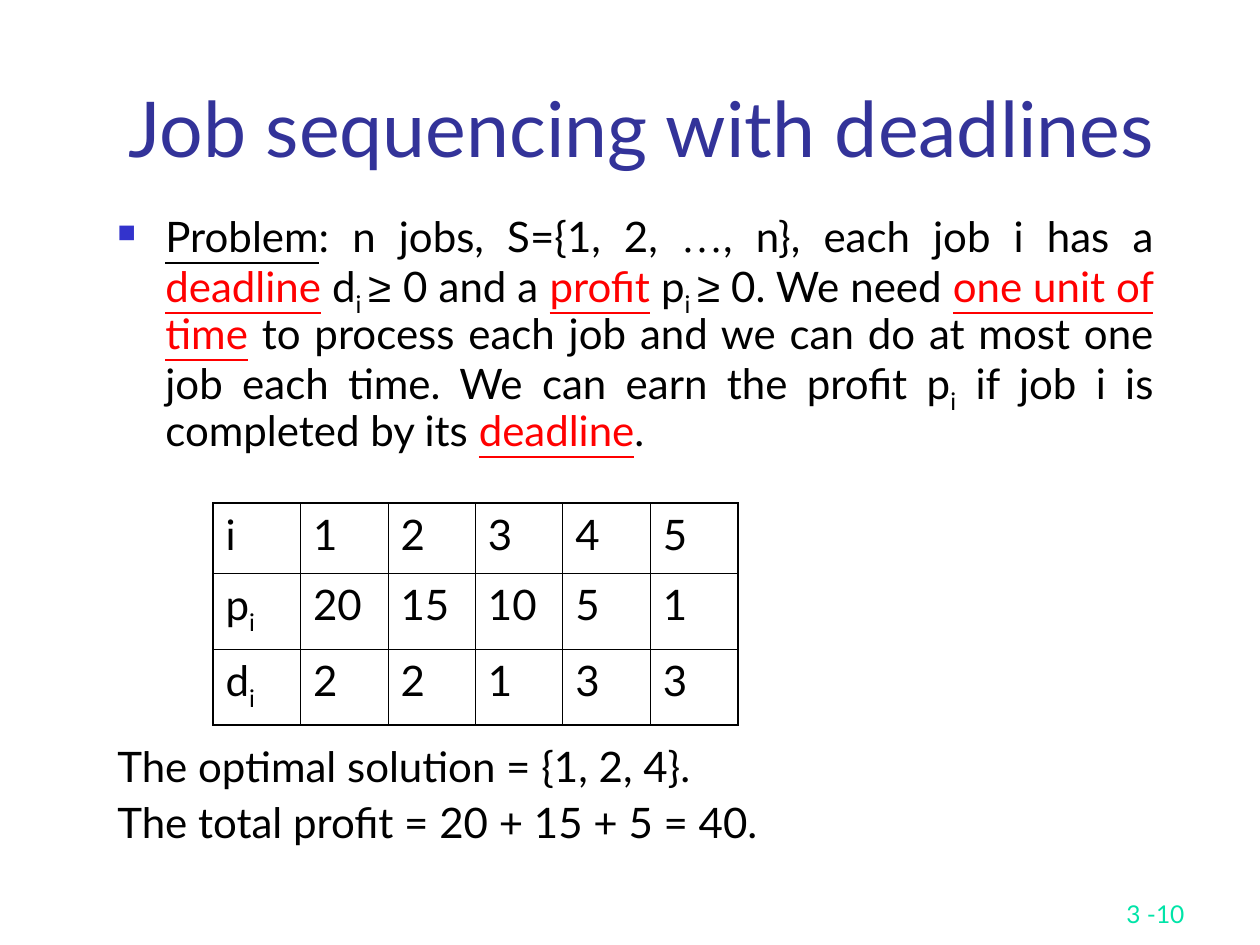
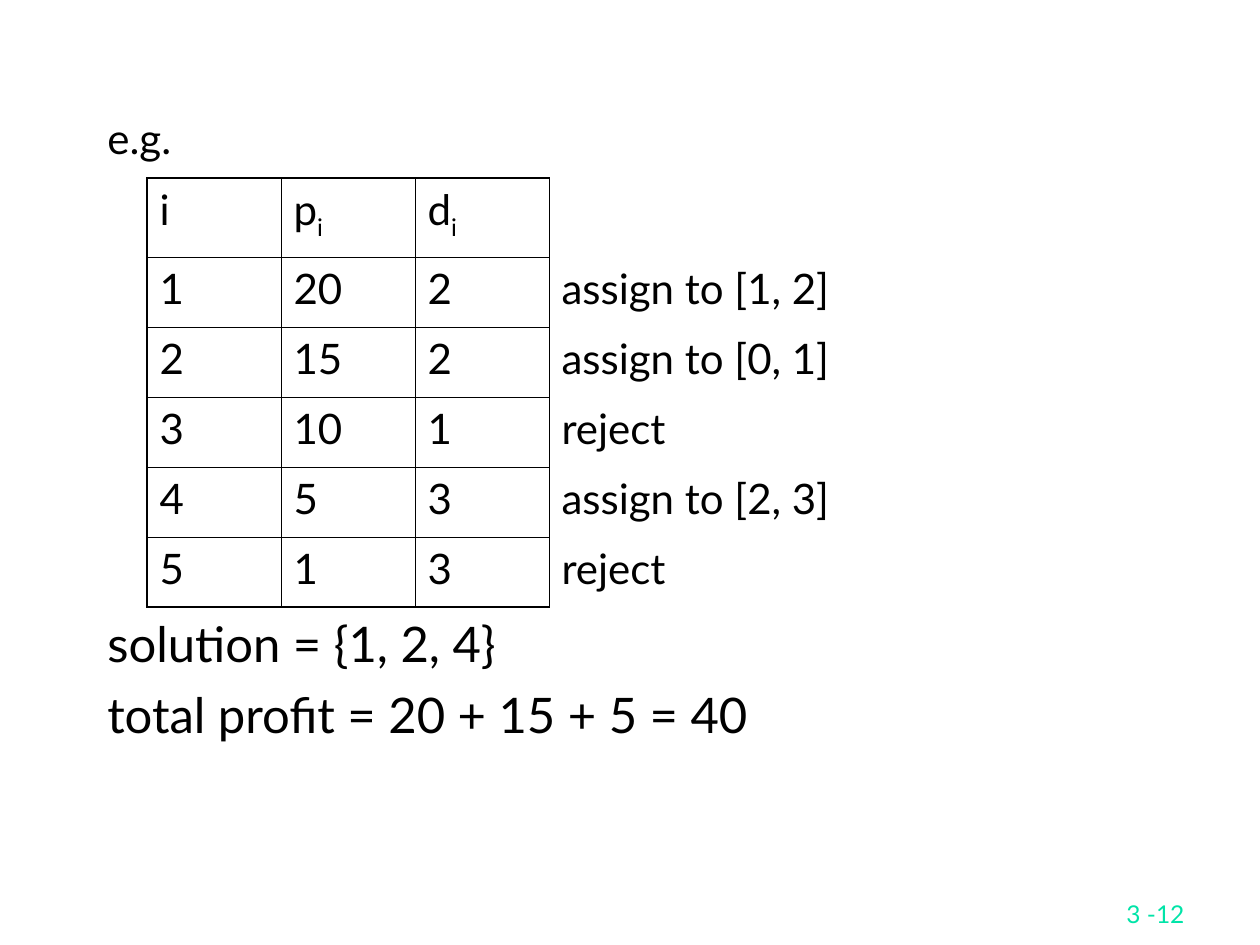
from dataclasses import dataclass

import lxml.etree
import pptx
import pptx.dml.color
import pptx.enum.text
import pptx.oxml.ns
import pptx.util

PX = 914400 / 126
ALIGN = pptx.enum.text.PP_ALIGN
ANCHOR = pptx.enum.text.MSO_ANCHOR


@dataclass(frozen=True)
class Theme:
    ink: str = "000000"
    title: str = "333399"
    bullet: str = "3333CC"
    key: str = "FF0000"
    footer: str = "00E4A8"
    font: str = "Lato"
    title_size: int = 44
    large_size: int = 28
    body_size: int = 24
    footer_size: int = 14
    outer_line: float = 1.08
    inner_line: float = 0.45


THEME = Theme()

# What each run style changes from plain body text.
STYLES = {
    "plain": {},
    "term": {"underline": True},
    "key": {"underline": True, "color": THEME.key},
    "sub": {"subscript": True},
    "arial": {"font": "Arial"},
    "times": {"font": "Times New Roman"},
}

PROBLEM = [
    ("Problem", "term"), (": n jobs, S={1, 2, ", "plain"), ("…", "times"),
    (", n}, each job i has a ", "plain"), ("deadline", "key"),
    (" d", "plain"), ("i ", "sub"), ("≥ ", "arial"), ("0 and a ", "plain"),
    ("profit", "key"), (" p", "plain"), ("i ", "sub"), ("≥", "arial"),
    (" 0. We need ", "plain"), ("one unit of time", "key"),
    (" to process each job and we can do at most one job each time. "
     "We can earn the profit p", "plain"), ("i", "sub"),
    (" if job i is completed by its ", "plain"), ("deadline", "key"),
    (".", "plain"),
]
JOB = "i"
PROFIT = [("p", "plain"), ("i", "sub")]
DEADLINE = [("d", "plain"), ("i", "sub")]
JOBS = [("1", "20", "2"), ("2", "15", "2"), ("3", "10", "1"),
        ("4", "5", "3"), ("5", "1", "3")]
DECISIONS = ["assign to [1, 2]", "assign to [0, 1]", "reject",
             "assign to [2, 3]", "reject"]


def emu(px):
    return pptx.util.Emu(round(px * PX))


def rgb(color):
    return pptx.dml.color.RGBColor.from_string(color)


def sub_element(parent, tag, **attributes):
    return lxml.etree.SubElement(parent, pptx.oxml.ns.qn(tag), attributes)


def add_run(p, text, size, color=THEME.ink, font=THEME.font,
            underline=False, subscript=False):
    r = p.add_run()
    r.text = text
    r.font.size = pptx.util.Pt(size)
    r.font.name = font
    r.font.color.rgb = rgb(color)
    if underline:
        r.font.underline = True
    if subscript:
        r._r.get_or_add_rPr().set("baseline", "-25000")


def add_rich_text(p, content, size=THEME.body_size):
    """Write a plain string or a list of (text, style) runs."""
    runs = [(content, "plain")] if isinstance(content, str) else content
    for text, style in runs:
        add_run(p, text, size, **STYLES[style])


def add_box(s, left, top, width, height, anchor=ANCHOR.TOP):
    tf = s.shapes.add_textbox(*map(emu, (left, top, width, height))).text_frame
    tf.word_wrap = True
    tf.vertical_anchor = anchor
    return tf


def add_lines(s, left, top, width, height, lines, size=THEME.body_size,
              spacing=1.0, gap=6):
    tf = add_box(s, left, top, width, height)
    for n, line in enumerate(lines):
        p = tf.add_paragraph() if n else tf.paragraphs[0]
        p.line_spacing = spacing
        if n:
            p.space_before = pptx.util.Pt(gap)
        add_rich_text(p, line, size)


def add_bullet_text(s, left, top, width, height, content):
    p = add_box(s, left, top, width, height).paragraphs[0]
    p.alignment = ALIGN.JUSTIFY
    p.line_spacing = 0.9
    pPr = p._p.get_or_add_pPr()
    pPr.set("marL", str(emu(48)))
    pPr.set("indent", str(-emu(48)))
    sub_element(sub_element(pPr, "a:buClr"), "a:srgbClr", val=THEME.bullet)
    sub_element(pPr, "a:buSzPct", val="60000")
    sub_element(pPr, "a:buChar", char="■")
    add_rich_text(p, content)


def add_footer(s, text):
    p = add_box(s, 935, 872, 262, 63, ANCHOR.BOTTOM).paragraphs[0]
    p.alignment = ALIGN.RIGHT
    add_run(p, text, THEME.footer_size, THEME.footer)


def set_title(s, text):
    sp = s.shapes.title
    sp.left, sp.top, sp.width, sp.height = map(emu, (105, 53, 1073, 126))
    tf = sp.text_frame
    tf.auto_size = pptx.enum.text.MSO_AUTO_SIZE.NONE
    tf.vertical_anchor = ANCHOR.BOTTOM
    p = tf.paragraphs[0]
    p.alignment = ALIGN.CENTER
    add_run(p, text, THEME.title_size, THEME.title)


def set_borders(cell, left, right, top, bottom):
    """Draw each side at its width in points; 0 leaves the side open."""
    tcPr = cell._tc.get_or_add_tcPr()
    sides = zip(("a:lnL", "a:lnR", "a:lnT", "a:lnB"),
                (left, right, top, bottom))
    for tag, width in sides:
        ln = sub_element(tcPr, tag, w=str(pptx.util.Pt(width)))
        if width:
            fill = sub_element(ln, "a:solidFill")
            sub_element(fill, "a:srgbClr", val=THEME.ink)
        else:
            sub_element(ln, "a:noFill")


def add_job_table(s, left, top, col_widths, row_heights, rows, ruled_cols):
    """Only the first ruled_cols columns have grid lines."""
    last_row, last_col = len(rows) - 1, len(col_widths) - 1
    table = s.shapes.add_table(
        len(rows), len(col_widths), emu(left), emu(top),
        emu(sum(col_widths)), emu(sum(row_heights))).table
    table.first_row = table.horz_banding = False
    for column, width in zip(table.columns, col_widths):
        column.width = emu(width)
    for row, height in zip(table.rows, row_heights):
        row.height = emu(height)

    def line(is_outer):
        return THEME.outer_line if is_outer else THEME.inner_line

    for i, row in enumerate(rows):
        for j, content in enumerate(row):
            cell = table.cell(i, j)
            if j < ruled_cols:
                set_borders(cell, line(j == 0), line(j == last_col),
                            line(i == 0), line(i == last_row))
            else:
                set_borders(cell, THEME.inner_line, 0, 0, 0)
            cell.fill.background()
            if content:
                add_rich_text(cell.text_frame.paragraphs[0], content)


def build_problem_slide(prs):
    s = prs.slides.add_slide(prs.slide_layouts[5])
    add_footer(s, "3 -10")
    set_title(s, "Job sequencing with deadlines")
    add_bullet_text(s, 105, 210, 1061, 270, PROBLEM)
    rows = [(head, *values) for head, values
            in zip((JOB, PROFIT, DEADLINE), zip(*JOBS))]
    add_job_table(s, 213, 503, [525 / 6] * 6, [70, 76, 76], rows, 6)
    add_lines(s, 105, 740, 1061, 120,
              ["The optimal solution = {1, 2, 4}.",
               "The total profit = 20 + 15 + 5 = 40."], spacing=0.9)


def build_example_slide(prs):
    s = prs.slides.add_slide(prs.slide_layouts[6])
    add_footer(s, "3 -12")
    add_lines(s, 95, 106, 1071, 64, ["e.g."])
    rows = [(JOB, PROFIT, DEADLINE, "")]
    rows += [(*job, decision) for job, decision in zip(JOBS, DECISIONS)]
    add_job_table(s, 147, 178, [134] * 3 + [388], [79] + [70] * 5, rows, 3)
    add_lines(s, 95, 607, 1071, 150,
              ["solution = {1, 2, 4}", "total profit = 20 + 15 + 5 = 40"],
              THEME.large_size, gap=7)


def main():
    prs = pptx.Presentation()
    prs.slide_width, prs.slide_height = emu(1260), emu(945)
    build_problem_slide(prs)
    build_example_slide(prs)
    prs.save("out.pptx")


if __name__ == "__main__":
    main()
